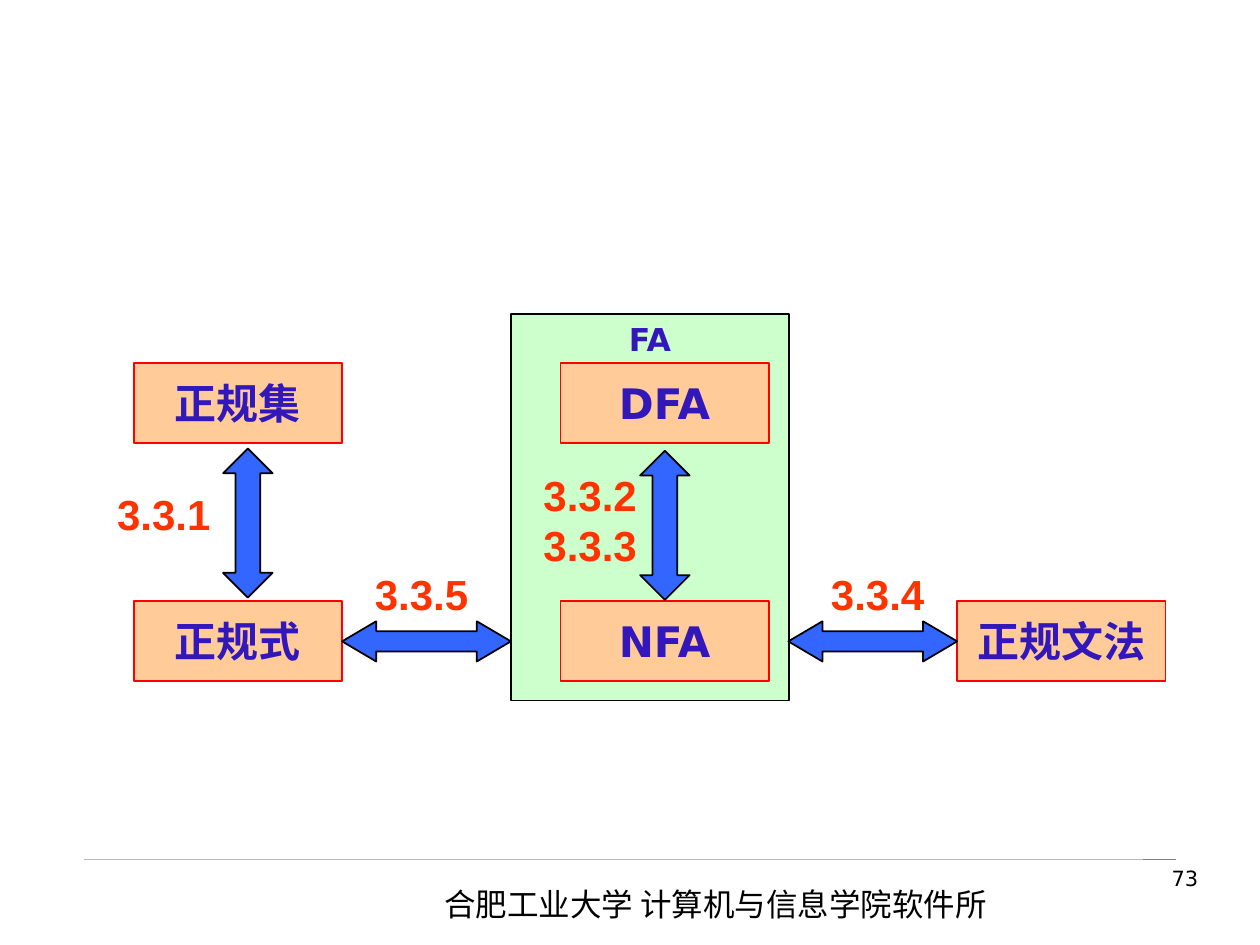
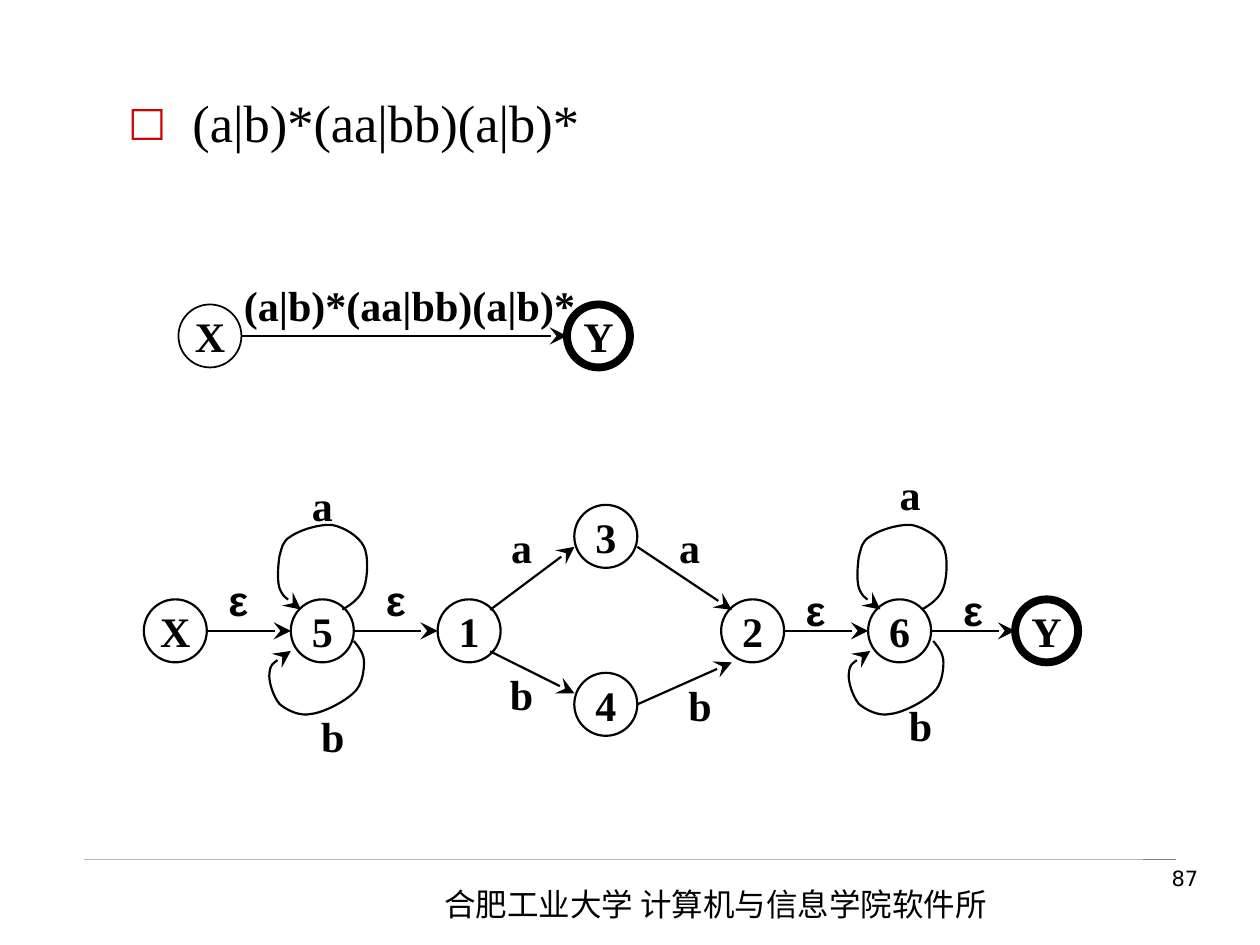
from lxml import etree
from pptx import Presentation
from pptx.dml.color import RGBColor
from pptx.enum.shapes import MSO_CONNECTOR, MSO_SHAPE
from pptx.enum.text import MSO_ANCHOR, PP_ALIGN
from pptx.oxml.ns import qn
from pptx.util import Pt

RECT = MSO_SHAPE.RECTANGLE
OVAL = MSO_SHAPE.OVAL
H_ARROW = MSO_SHAPE.LEFT_RIGHT_ARROW
V_ARROW = MSO_SHAPE.UP_DOWN_ARROW
STRAIGHT = MSO_CONNECTOR.STRAIGHT
TOP, MIDDLE = MSO_ANCHOR.TOP, MSO_ANCHOR.MIDDLE
LEFT, CENTER, RIGHT = PP_ALIGN.LEFT, PP_ALIGN.CENTER, PP_ALIGN.RIGHT

BLACK = RGBColor(0x00, 0x00, 0x00)
RULE = RGBColor(0xB8, 0xB8, 0xB8)
RULE_END = RGBColor(0x80, 0x80, 0x80)
RED = RGBColor(0xFF, 0x00, 0x00)
BULLET_RED = RGBColor(0xCC, 0x00, 0x00)
ORANGE_RED = RGBColor(0xFF, 0x33, 0x00)
PEACH = RGBColor(0xFF, 0xCC, 0x99)
MINT = RGBColor(0xCC, 0xFF, 0xCC)
BLUE = RGBColor(0x33, 0x66, 0xFF)
INDIGO = RGBColor(0x32, 0x17, 0xBB)

SANS = "DejaVu Sans"
CJK = "Noto Sans CJK SC"
SERIF = "Times New Roman"
ARIAL = "Arial"

BOX_W, BOX_H = 119, 45.6
BOX_TOP, BOX_BOTTOM = 207.4, 343.5
NODE = 36
MID_Y = 342.5

LOOP_ABOVE = [
    (29.5, 5.8),
    (34.6, 2.9), (39.6, -0.7), (41.8, -6.5),
    (43.9, -12.2), (44.6, -24.5), (41.8, -30.2),
    (38.9, -36), (31, -41), (23.8, -42.5),
    (16.6, -43.2), (5, -39.6), (0, -36),
    (-5, -33.1), (-5, -29.5), (-6.5, -24.5),
    (-7.2, -19.4), (-7.9, -11.5), (-6.5, -6.5),
    (-4.3, -1.4), (0.7, 2.2), (5.8, 5.8),
]
LOOP_BELOW = [
    (36, 23.8),
    (38.9, 27.4), (41.8, 31), (41.8, 36),
    (41.8, 40.3), (41, 49), (36, 53.3),
    (31, 58.3), (18.7, 64.8), (11.5, 65.5),
    (5, 67), (-2.2, 63.4), (-6.5, 59.8),
    (-10.1, 55.4), (-13, 46.8), (-12.2, 41.8),
    (-11.5, 36.7), (-5.8, 33.1), (0, 29.5),
]


def format_text(tf, text, size, font, color, bold=False, align=CENTER, anchor=MIDDLE, wrap=False):
    """Fill a text frame and format all its runs."""
    tf.text = text
    tf.word_wrap = wrap
    tf.vertical_anchor = anchor
    for p in tf.paragraphs:
        p.alignment = align
        p.space_before = Pt(0)
        for r in p.runs:
            r.font.size, r.font.name, r.font.bold = Pt(size), font, bold
            r.font.color.rgb = color
            etree.SubElement(r.font._element, qn("a:ea"), typeface=CJK)


def add_label(slide, text, x, y, w, h, size=24, font=SERIF, color=BLACK, bold=True, **layout):
    """Add a text box."""
    sp = slide.shapes.add_textbox(Pt(x), Pt(y), Pt(w), Pt(h))
    format_text(sp.text_frame, text, size, font, color, bold, **layout)


def style_shape(sp, fill, line, width):
    """Set fill and outline and drop the shadow."""
    sp.shadow.inherit = False
    if fill is None:
        sp.fill.background()
    else:
        sp.fill.solid()
        sp.fill.fore_color.rgb = fill
    sp.line.color.rgb = line
    sp.line.width = Pt(width)


def add_preset(slide, kind, x, y, w, h, fill=None, line=BLACK, width=1):
    """Add a styled preset shape."""
    sp = slide.shapes.add_shape(kind, Pt(x), Pt(y), Pt(w), Pt(h))
    style_shape(sp, fill, line, width)
    return sp


def add_box(slide, text, x, y):
    """Add a peach concept box."""
    sp = add_preset(slide, RECT, x, y, BOX_W, BOX_H, PEACH, RED)
    format_text(sp.text_frame, text, 24, SANS, INDIGO, True)


def add_double_arrow(slide, kind, x, y, w, h, adjustments):
    """Add a blue two-headed block arrow."""
    sp = add_preset(slide, kind, x, y, w, h, BLUE)
    for i, value in enumerate(adjustments):
        sp.adjustments[i] = value


def add_node(slide, text, x, y, width=1.25):
    """Add a round automaton state."""
    sp = add_preset(slide, OVAL, x, y, NODE, NODE, width=width)
    format_text(sp.text_frame, text, 24, SERIF, BLACK, True)


def add_stealth_head(sp):
    """Put a large stealth arrowhead at the end of a line."""
    ln = sp._element.spPr.find(qn("a:ln"))
    etree.SubElement(ln, qn("a:tailEnd"), type="stealth", w="lg", len="lg")


def add_line(slide, x1, y1, x2, y2, color=BLACK, width=1.25, head=True):
    """Add a straight line, with an arrowhead by default."""
    cxn = slide.shapes.add_connector(STRAIGHT, Pt(x1), Pt(y1), Pt(x2), Pt(y2))
    cxn.line.color.rgb = color
    cxn.line.width = Pt(width)
    if head:
        add_stealth_head(cxn)
    etree.SubElement(cxn._element.spPr, qn("a:effectLst"))


def add_loop(slide, x, y, offsets):
    """Add a curved arrow through Bezier points relative to a state."""
    points = [(Pt(x + dx), Pt(y + dy)) for dx, dy in offsets]
    builder = slide.shapes.build_freeform(*points[0])
    builder.add_line_segments(points[1:], close=False)
    sp = builder.convert_to_shape()
    path = next(sp._element.iter(qn("a:path")))
    segments = path.findall(qn("a:lnTo"))
    for i in range(0, len(segments), 3):
        curve = etree.SubElement(path, qn("a:cubicBezTo"))
        for segment in segments[i:i + 3]:
            curve.append(segment[0])
            path.remove(segment)
    style_shape(sp, None, BLACK, 1.25)
    add_stealth_head(sp)


def add_bullet(p):
    """Give a formatted paragraph a hanging red square bullet."""
    pPr = p._p.get_or_add_pPr()
    pPr.set("marL", str(Pt(36.7)))
    pPr.set("indent", str(-Pt(36.7)))
    color = etree.SubElement(pPr, qn("a:buClr"))
    etree.SubElement(color, qn("a:srgbClr"), val=str(BULLET_RED))
    etree.SubElement(pPr, qn("a:buSzPct"), val="77000")
    etree.SubElement(pPr, qn("a:buFont"), typeface=SANS)
    etree.SubElement(pPr, qn("a:buChar"), char="□")


def add_slide(prs, layout, number):
    """Add a slide with the shared rule, footer and number."""
    slide = prs.slides.add_slide(prs.slide_layouts[layout])
    if slide.shapes.title is not None:
        title = slide.shapes.title._element
        title.getparent().remove(title)
    add_line(slide, 48, 491, 672, 491, RULE, 0.25, head=False)
    add_line(slide, 653, 491, 672, 491, RULE_END, 0.25, head=False)
    add_label(slide, "合肥工业大学 计算机与信息学院软件所", 246.7, 502, 340, 29, 18, CJK,
              bold=False, align=LEFT, anchor=TOP, wrap=True)
    add_label(slide, number, 535.7, 491, 156.2, 37.4, 12, SANS,
              bold=False, align=RIGHT, anchor=TOP, wrap=True)
    return slide


def build_relations(prs):
    """Build the map between regular sets, expressions, automata and grammars."""
    slide = add_slide(prs, 6, "73")
    fa = add_preset(slide, RECT, 292.2, 179.3, 158.5, 221, MINT)
    format_text(fa.text_frame, "FA", 18, SANS, INDIGO, True, anchor=TOP)
    for text, x, y in [
        ("正规集", 76.5, BOX_TOP),
        ("正规式", 76.5, BOX_BOTTOM),
        ("DFA", 320.3, BOX_TOP),
        ("NFA", 320.3, BOX_BOTTOM),
        ("正规文法", 547, BOX_BOTTOM),
    ]:
        add_box(slide, text, x, y)
    for x in (195.5, 450.5):
        add_double_arrow(slide, H_ARROW, x, 355, 96.5, 23, (0.5, 0.848))
    for x, y in ((127.5, 256.3), (365.8, 257.6)):
        add_double_arrow(slide, V_ARROW, x, y, 28.3, 85.2, (0.6, 0.5))
    for text, x, y, h in [
        ("3.3.1", 59.8, 275.8, 36),
        ("3.3.2\n3.3.3", 303.4, 264.7, 65),
        ("3.3.4", 467.7, 321.1, 36),
        ("3.3.5", 207, 321.1, 36),
    ]:
        add_label(slide, text, x, y, 67.7, h, font=ARIAL, color=ORANGE_RED, anchor=TOP, wrap="\n" in text)


def build_automaton(prs):
    """Build the step from a regular expression to an NFA."""
    slide = add_slide(prs, 1, "87")
    body = slide.placeholders[1]
    body.left, body.top, body.width, body.height = Pt(66), Pt(48), Pt(612), Pt(48)
    format_text(body.text_frame, "(a|b)*(aa|bb)(a|b)*", 30, SERIF, BLACK,
                align=LEFT, anchor=TOP, wrap=True)
    add_bullet(body.text_frame.paragraphs[0])

    add_node(slide, "X", 102, 174, 1)
    add_node(slide, "Y", 324, 174, 4.5)
    add_line(slide, 138, 192, 324, 192, width=1)
    add_label(slide, "(a|b)*(aa|bb)(a|b)*", 124, 156, 220, 36)

    row = {"X": 82.2, "5": 166.2, "1": 250.1, "2": 412.1, "6": 496.1, "Y": 580.1}
    for text, x in row.items():
        add_node(slide, text, x, MID_Y, 4.5 if text == "Y" else 1.25)
    add_node(slide, "3", 328.2, 288.5)
    add_node(slide, "4", 328.2, 384.5)

    for start, end in ("X5", "51", "26", "6Y"):
        add_line(slide, row[start] + NODE, MID_Y + NODE / 2, row[end], MID_Y + NODE / 2)
    for ends in [
        (280.1, 348.5, 328.2, 312.5),
        (280.1, 372.2, 328.2, 396.2),
        (364.2, 312.5, 418.2, 348.5),
        (364.2, 402.5, 418.2, 378.5),
    ]:
        add_line(slide, *ends)
    for x in (row["5"], row["6"] + 1.2):
        for offsets in (LOOP_ABOVE, LOOP_BELOW):
            add_loop(slide, x, MID_Y, offsets)

    for text, x, y in [
        ("ε", 118.2, 324.5), ("ε", 208.2, 324.5),
        ("ε", 448.1, 330.5), ("ε", 538.1, 330.5),
        ("a", 166.2, 270.5), ("b", 172.2, 402.5),
        ("a", 502.1, 264.2), ("b", 508.1, 396.2),
        ("a", 280.1, 294.5), ("b", 280.1, 378.5),
        ("a", 376.1, 294.5), ("b", 382.1, 384.5),
    ]:
        add_label(slide, text, x, y, 36, 36, font=ARIAL if text == "ε" else SERIF)


def main():
    """Build and save the presentation."""
    prs = Presentation()
    prs.slide_width, prs.slide_height = Pt(720), Pt(540)
    build_relations(prs)
    build_automaton(prs)
    prs.save("out.pptx")


if __name__ == "__main__":
    main()
